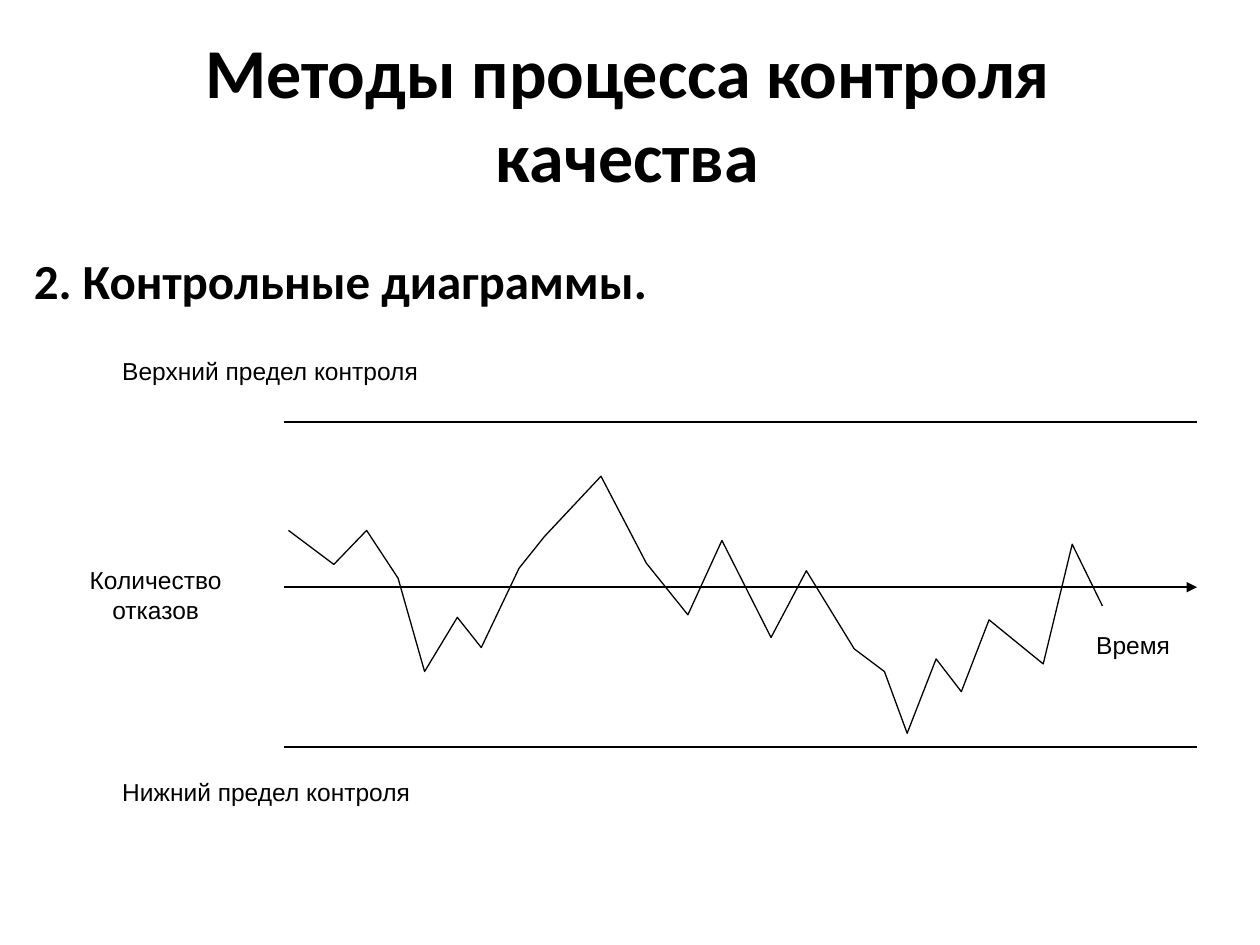
from dataclasses import dataclass

from lxml.etree import SubElement
from pptx import Presentation
from pptx.dml.color import RGBColor
from pptx.enum.shapes import MSO_CONNECTOR as Connector, MSO_SHAPE as Shape
from pptx.enum.text import MSO_ANCHOR as Anchor, PP_ALIGN as Align
from pptx.oxml.ns import qn
from pptx.util import Inches, Pt


@dataclass(frozen=True)
class Theme:
    ink: RGBColor = RGBColor(0, 0, 0)
    paper: RGBColor = RGBColor(255, 255, 255)
    heading_font: str = "Calibri"
    label_font: str = "Arial"
    title_size: int = 40
    subtitle_size: int = 28
    label_size: int = 14
    limit_width: float = 1.25
    curve_width: float = 0.75


THEME = Theme()

CHART_LEFT, CHART_RIGHT = 2.25, 9.5
UPPER_LIMIT, TIME_AXIS, LOWER_LIMIT = 3.35, 4.66, 5.93

# Failure counts over time, as points on the slide in inches
FAILURES = [
    (2.29, 4.21), (2.65, 4.48), (2.91, 4.21), (3.16, 4.59), (3.37, 5.33),
    (3.63, 4.9), (3.82, 5.14), (4.12, 4.51), (4.32, 4.26), (4.77, 3.78),
    (5.13, 4.47), (5.46, 4.88), (5.73, 4.29), (6.12, 5.06), (6.4, 4.53),
    (6.78, 5.15), (7.02, 5.33), (7.2, 5.82), (7.43, 5.23), (7.63, 5.49),
    (7.85, 4.92), (8.28, 5.27), (8.51, 4.32), (8.75, 4.81),
]

# Text, box (left, top, width, height), alignment
LABELS = [
    ("Верхний предел контроля", (0.95, 2.65, 3.28, 0.59), Align.LEFT),
    ("Нижний предел контроля", (0.95, 5.99, 3.28, 0.59), Align.LEFT),
    ("Время", (8.68, 4.82, 0.91, 0.59), Align.LEFT),
    ("Количество отказов", (0.34, 4.21, 1.79, 1.02), Align.CENTER),
]


def write_text(frame, text, font, size, align, bold=False):
    frame.word_wrap = True
    paragraph = frame.paragraphs[0]
    paragraph.alignment = align
    run = paragraph.add_run()
    run.text = text
    run.font.name = font
    run.font.size = Pt(size)
    run.font.bold = bold
    run.font.color.rgb = THEME.ink


def set_title(slide, text):
    title = slide.shapes.title
    title.left, title.top = Inches(0.54), Inches(0.17)
    title.width, title.height = Inches(8.88), Inches(1.45)
    title.text_frame.vertical_anchor = Anchor.MIDDLE
    write_text(title.text_frame, text, THEME.heading_font,
               THEME.title_size, Align.CENTER, bold=True)


def add_subtitle(slide, text):
    subtitle = slide.shapes.add_textbox(
        Inches(0.17), Inches(1.94), Inches(9.64), Inches(0.57))
    write_text(subtitle.text_frame, text, THEME.heading_font,
               THEME.subtitle_size, Align.JUSTIFY, bold=True)


def add_level(slide, y, arrow=False):
    level = slide.shapes.add_connector(
        Connector.STRAIGHT, Inches(CHART_LEFT), Inches(y),
        Inches(CHART_RIGHT), Inches(y))
    level.line.color.rgb = THEME.ink
    level.line.width = Pt(THEME.limit_width)
    if arrow:
        SubElement(level.line._get_or_add_ln(), qn("a:tailEnd"), type="triangle")
    SubElement(level._element.spPr, qn("a:effectLst"))


def add_label(slide, text, box, align):
    label = slide.shapes.add_shape(Shape.RECTANGLE, *map(Inches, box))
    label.shadow.inherit = False
    label.fill.solid()
    label.fill.fore_color.rgb = THEME.paper
    label.line.fill.background()
    frame = label.text_frame
    frame.margin_left = frame.margin_right = Inches(0.02)
    frame.margin_top = frame.margin_bottom = Inches(0.01)
    frame.vertical_anchor = Anchor.MIDDLE
    write_text(frame, text, THEME.label_font, THEME.label_size, align)


def add_curve(slide, points):
    start, *rest = [(Inches(x), Inches(y)) for x, y in points]
    builder = slide.shapes.build_freeform(*start)
    builder.add_line_segments(rest, close=False)
    curve = builder.convert_to_shape()
    curve.shadow.inherit = False
    curve.fill.background()
    curve.line.color.rgb = THEME.ink
    curve.line.width = Pt(THEME.curve_width)


def main():
    deck = Presentation()
    deck.slide_width, deck.slide_height = Inches(10), Inches(7.5)
    title_only = deck.slide_layouts[5]
    slide = deck.slides.add_slide(title_only)

    # Headings
    set_title(slide, "Методы процесса контроля качества")
    add_subtitle(slide, "2. Контрольные диаграммы.")

    # Control limits and time axis
    add_level(slide, UPPER_LIMIT)
    add_level(slide, TIME_AXIS, arrow=True)
    add_level(slide, LOWER_LIMIT)

    # Labels, then the failure curve on top
    for text, box, align in LABELS:
        add_label(slide, text, box, align)
    add_curve(slide, FAILURES)

    deck.save("out.pptx")


if __name__ == "__main__":
    main()
